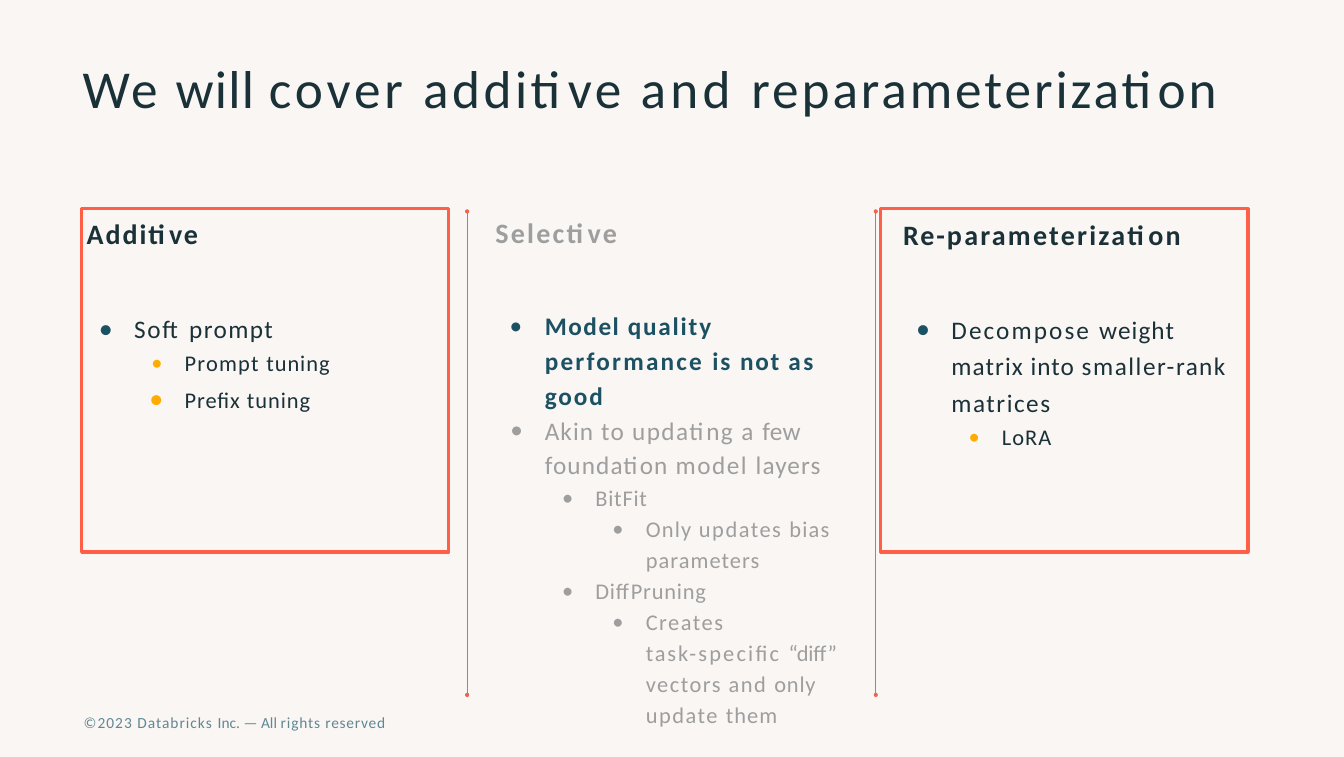
from dataclasses import dataclass
from lxml.etree import SubElement
from pptx import Presentation
from pptx.dml.color import RGBColor
from pptx.enum.shapes import MSO_CONNECTOR, MSO_SHAPE
from pptx.enum.text import MSO_ANCHOR, PP_ALIGN
from pptx.oxml.ns import qn
from pptx.util import Inches, Pt


@dataclass(frozen=True)
class Theme:
    font: str = "Calibri"
    background: str = "F9F6F4"
    ink: str = "1B3138"
    teal: str = "1B5162"
    muted: str = "9E9E9E"
    footer: str = "618794"
    amber: str = "FFAB00"
    frame: str = "FF5F46"
    dot: str = "EE6450"
    divider: str = "8C8C8C"
    title_size: float = 38
    heading_size: float = 20
    point_size: float = 18
    detail_size: float = 16
    footer_size: float = 11


THEME = Theme()

STYLES = {
    "title": dict(size=THEME.title_size, color=THEME.ink),
    "footer": dict(size=THEME.footer_size, color=THEME.footer),
    "heading": dict(size=THEME.heading_size, color=THEME.ink, bold=True),
    "muted heading": dict(size=THEME.heading_size, color=THEME.muted, bold=True),
    "point": dict(size=THEME.point_size, color=THEME.ink, hanging=0.35,
                  bullet_color=THEME.teal, bullet_percent=111),
    "detail": dict(size=THEME.detail_size, color=THEME.ink, hanging=0.33, bullet_color=THEME.amber),
    "large detail": dict(size=THEME.detail_size, color=THEME.ink, hanging=0.35,
                         bullet_color=THEME.amber, bullet_percent=125),
    "strong point": dict(size=THEME.point_size, color=THEME.teal, bold=True, hanging=0.35),
    "muted point": dict(size=THEME.point_size, color=THEME.muted, hanging=0.34),
    "muted detail": dict(size=THEME.detail_size, color=THEME.muted, hanging=0.33),
    "muted text": dict(size=THEME.detail_size, color=THEME.muted),
}

# style, left indent, space before, line spacing, (text, letter spacing) runs
TITLE = [("title", 0.01, 0, 1, [
    ("We ", 2.1), ("will ", 0.9), ("cover ", 2.8), ("additive ", 2.5),
    ("and ", 3.1), ("reparameterization", 2.1)])]
FOOTER = [("footer", 0.01, 0, 1, [
    ("©2023 Databricks ", 0.7), ("Inc. — All ", 0), ("rights ", 0.6), ("reserved", 0.5)])]
ADDITIVE = [
    ("heading", 0.05, 0, 1, [("Additive", 1.4)]),
    ("point", 0.52, 45.4, 1, [("Soft ", 1.2), ("prompt", 1)]),
    ("detail", 1.02, 4.2, 1, [("Prompt ", 0.9), ("tuning", 0.7)]),
    ("large detail", 1.02, 6.7, 1, [("Preﬁx tuning", 0.7)]),
]
SELECTIVE = [("muted heading", 0.01, 0, 1, [("Selective", 1.6)])]
SELECTIVE_POINTS = [
    ("strong point", 0.36, 0, 1.15, [
        ("Model ", 1.1), ("quality ", 1.3), ("performance ", 1.6), ("is ", 1.4),
        ("not ", 1.2), ("as ", 1.8), ("good", 1.4)]),
    ("muted point", 0.36, 0, 1.15, [
        ("Akin ", 0.8), ("to ", 0.9), ("updating ", 1), ("a ", 1.1), ("few ", 0.3),
        ("foundation ", 0.8), ("model ", 1.1), ("layers", 0.8)]),
]
SELECTIVE_DETAILS = [
    ("muted detail", 0.34, 0, 1, [("BitFit", 0.6)]),
    ("muted detail", 0.84, 0, 1.15, [
        ("Only ", 0.9), ("updates ", 1.1), ("bias ", 0.9), ("parameters", 0.8)]),
    ("muted detail", 0.34, 2.9, 1, [("DiffPruning", 0.6)]),
    ("muted detail", 0.84, 2.9, 1, [("Creates", 1.1)]),
    ("muted text", 0.84, 0, 1.15, [
        ("task-", 1.4), ("speciﬁc ", 1.6), ("“diff” ", -0.1), ("vectors and ", 1.1),
        ("only ", 0.6), ("update ", 1.1), ("them", 0.8)]),
]
REPARAMETERIZATION = [
    ("heading", 0.22, 0, 1, [("Re-", 1.4), ("parameterization", 1.6)]),
    ("point", 0.7, 40.7, 1.21, [
        ("Decompose ", 1.5), ("weight matrix", 0.8), (" into ", 0.7),
        ("smaller-", 1.1), ("rank ", 1), ("matrices", 1.1)]),
    ("detail", 1.2, 4.2, 1, [("LoRA", 0.8)]),
]

TEXT_BOXES = [
    ((0.82, 7.06, 3.08, 0.21), 0.01, FOOTER),
    ((0.81, 0.44, 12.23, 1.21), 0.11, TITLE),
    ((5.04, 3.02, 3.16, 1.75), 0.01, SELECTIVE_POINTS),
    ((5.56, 4.75, 2.79, 2.48), 0.05, SELECTIVE_DETAILS),
    ((4.9, 2.13, 1.29, 0.36), 0.01, SELECTIVE),
]
FRAME_TOP, FRAME_WIDTH, FRAME_HEIGHT = 2.07, 3.64, 3.4
FRAMES = [(0.81, 0.07, ADDITIVE), (8.73, 0.08, REPARAMETERIZATION)]
DIVIDERS = [4.63, 8.68]
DIVIDER_TOP, DIVIDER_BOTTOM, DOT = 2.11, 6.87, 0.03


def rgb(value):
    return RGBColor.from_string(value)


def add_bullet(properties, style, indent):
    if "bullet_color" in style:
        color = SubElement(properties, qn("a:buClr"))
        SubElement(color, qn("a:srgbClr"), val=style["bullet_color"])
    if "bullet_percent" in style:
        SubElement(properties, qn("a:buSzPct"), val=str(style["bullet_percent"] * 1000))
    SubElement(properties, qn("a:buFont"), typeface=THEME.font)
    SubElement(properties, qn("a:buChar"), char="•")
    tabs = SubElement(properties, qn("a:tabLst"))
    SubElement(tabs, qn("a:tab"), pos=str(Inches(indent)), algn="l")


def write(shape, top_inset, content):
    frame = shape.text_frame
    frame.word_wrap = True
    frame.vertical_anchor = MSO_ANCHOR.TOP
    frame.margin_left = frame.margin_right = frame.margin_bottom = 0
    frame.margin_top = Inches(top_inset)
    for index, (name, indent, before, spacing, runs) in enumerate(content):
        style = STYLES[name]
        paragraph = frame.add_paragraph() if index else frame.paragraphs[0]
        properties = paragraph._p.get_or_add_pPr()
        properties.set("marL", str(Inches(indent)))
        properties.set("indent", str(-Inches(style.get("hanging", 0))))
        if "hanging" in style:
            add_bullet(properties, style, indent)
        paragraph.alignment = PP_ALIGN.LEFT
        paragraph.line_spacing = spacing
        paragraph.space_before = Pt(before)
        paragraph.font.name = THEME.font
        paragraph.font.size = Pt(style["size"])
        paragraph.font.bold = style.get("bold", False)
        paragraph.font.color.rgb = rgb(style["color"])
        for text, letter_spacing in runs:
            run = paragraph.add_run()
            run.text = text
            run._r.get_or_add_rPr().set("spc", str(round(letter_spacing * 100)))


def add_divider(slide, x):
    line = slide.shapes.add_connector(MSO_CONNECTOR.STRAIGHT, Inches(x), Inches(DIVIDER_TOP),
                                      Inches(x), Inches(DIVIDER_BOTTOM))
    line.line.color.rgb = rgb(THEME.divider)
    line.line.width = Pt(0.75)
    SubElement(line._element.spPr, qn("a:effectLst"))
    for top in (DIVIDER_TOP - DOT, DIVIDER_BOTTOM):
        dot = slide.shapes.add_shape(MSO_SHAPE.OVAL, Inches(x - DOT / 2), Inches(top),
                                     Inches(DOT), Inches(DOT))
        dot.shadow.inherit = False
        dot.fill.solid()
        dot.fill.fore_color.rgb = rgb(THEME.dot)
        dot.line.color.rgb = rgb(THEME.dot)
        dot.line.width = Pt(0.75)


def add_frame(slide, left, top_inset, content):
    shape = slide.shapes.add_shape(MSO_SHAPE.RECTANGLE, Inches(left), Inches(FRAME_TOP),
                                   Inches(FRAME_WIDTH), Inches(FRAME_HEIGHT))
    shape.shadow.inherit = False
    shape.fill.background()
    shape.line.color.rgb = rgb(THEME.frame)
    shape.line.width = Pt(2.25)
    write(shape, top_inset, content)


def main():
    presentation = Presentation()
    presentation.slide_width = Inches(13.32)
    presentation.slide_height = Inches(7.5)
    slide = presentation.slides.add_slide(presentation.slide_layouts[6])
    slide.background.fill.solid()
    slide.background.fill.fore_color.rgb = rgb(THEME.background)
    for x in DIVIDERS:
        add_divider(slide, x)
    for box, top_inset, content in TEXT_BOXES:
        write(slide.shapes.add_textbox(*map(Inches, box)), top_inset, content)
    for left, top_inset, content in FRAMES:
        add_frame(slide, left, top_inset, content)
    presentation.save("out.pptx")


if __name__ == "__main__":
    main()
